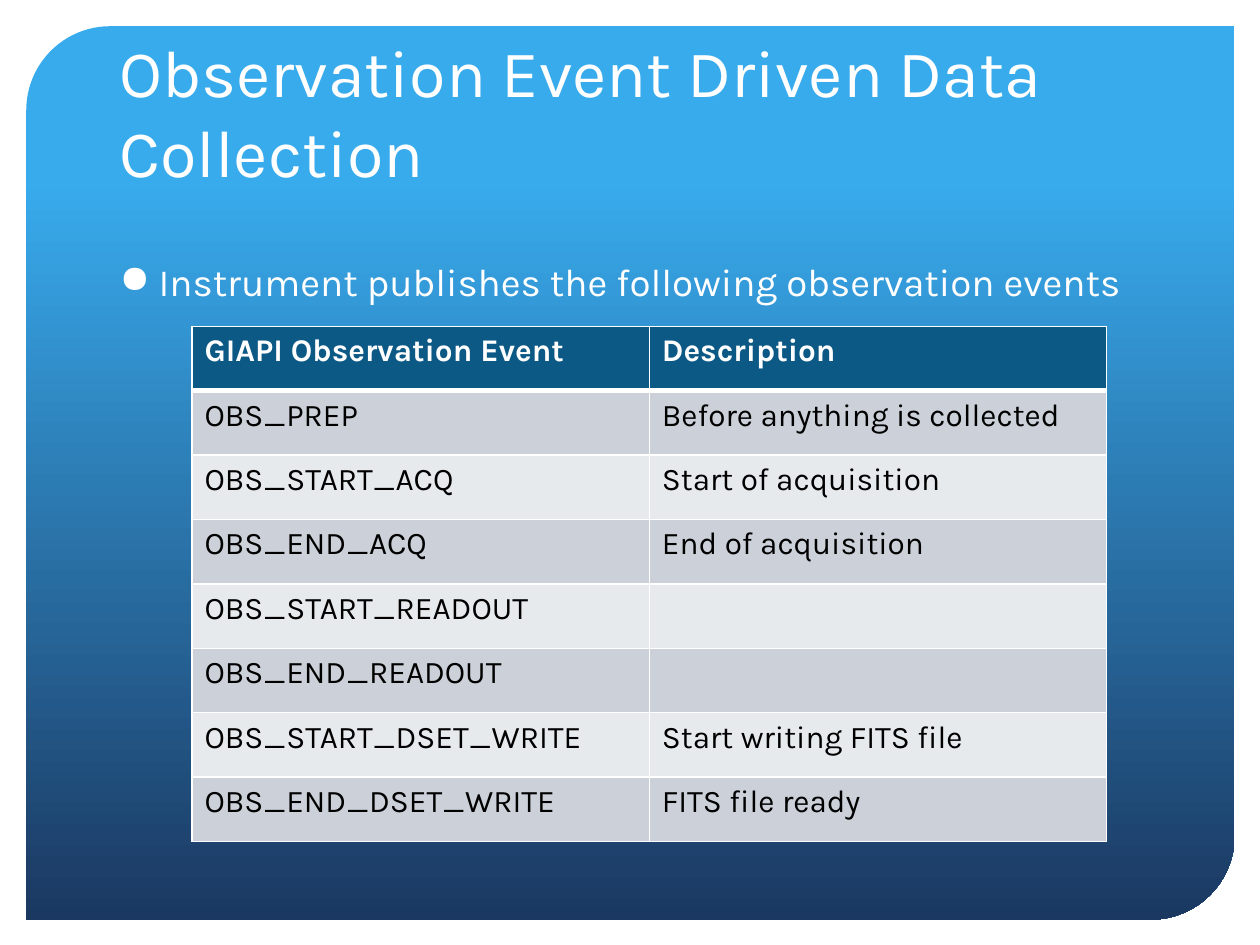
"""Build a slide that lists observation events in a table."""
from lxml.etree import SubElement as Sub
from pptx import Presentation
from pptx.dml.color import RGBColor as RGB
from pptx.enum.shapes import MSO_SHAPE as SHAPE
from pptx.enum.text import MSO_ANCHOR as ANCHOR
from pptx.oxml.ns import qn
from pptx.util import Cm, Pt

FONT = "Karla"
HUES = {"white": "FFFFFF", "black": "000000", "sky": "38ABED", "navy": "1B3861",
        "head": "0C5986", "dark": "CCD1D9", "light": "E7EAED"}
ROWS = [
    ("GIAPI Observation Event", "Description"),
    ("OBS_PREP", "Before anything is collected"),
    ("OBS_START_ACQ", "Start of acquisition"),
    ("OBS_END_ACQ", "End of acquisition"),
    ("OBS_START_READOUT", ""),
    ("OBS_END_READOUT", ""),
    ("OBS_START_DSET_WRITE", "Start writing FITS file"),
    ("OBS_END_DSET_WRITE", "FITS file ready"),
]


def hue(name):
    return RGB.from_string(HUES[name])


def write(frame, text, size=18, color="white", bold=False, bullet=None):
    para = frame.paragraphs[0]
    if bullet:
        props = para._p.get_or_add_pPr()
        props.set("marL", str(Cm(0.79)))
        props.set("indent", str(-Cm(0.79)))
        Sub(props, qn("a:buChar"), char=bullet)
    run = para.add_run()
    run.text = text
    font = run.font
    font.name, font.size, font.bold = FONT, Pt(size), bold
    font.color.rgb = hue(color)


def add_panel(slide):
    panel = slide.shapes.add_shape(SHAPE.ROUND_2_DIAG_RECTANGLE,
                                   Cm(0.53), Cm(0.53), Cm(24.36), Cm(18.01))
    panel.shadow.inherit = False
    panel.adjustments[0], panel.adjustments[1] = 0.094, 0
    panel.line.fill.background()
    panel.fill.gradient()
    panel.fill.gradient_angle = 270
    stops = panel.fill.gradient_stops
    for stop, place, name in zip(stops, (0.17, 1), ("sky", "navy")):
        stop.position = place
        stop.color.rgb = hue(name)


def add_text(slide, text, top, height, anchor=ANCHOR.TOP, **style):
    box = slide.shapes.add_textbox(Cm(2.16), Cm(top), Cm(21.06), Cm(height))
    frame = box.text_frame
    frame.word_wrap = True
    frame.vertical_anchor = anchor
    write(frame, text, **style)


def add_edge(cell, side, width):
    line = Sub(cell._tc.get_or_add_tcPr(), qn(f"a:ln{side}"), w=str(Pt(width)))
    fill = Sub(line, qn("a:solidFill"))
    Sub(fill, qn("a:srgbClr"), val=HUES["white"])


def fill_cell(cell, text, row):
    thick = {0: "B", 1: "T"}.get(row)
    for side in "LRTB":
        add_edge(cell, side, 3 if side == thick else 1)
    cell.fill.solid()
    cell.fill.fore_color.rgb = hue("head" if row == 0 else "dark" if row % 2 else "light")
    if text:
        write(cell.text_frame, text, color="black" if row else "white", bold=row == 0)


def add_grid(slide):
    frame = slide.shapes.add_table(len(ROWS), 2, Cm(3.87), Cm(6.58), Cm(18.44), Cm(10.39))
    for row, texts in enumerate(ROWS):
        for col, text in enumerate(texts):
            fill_cell(frame.table.cell(row, col), text, row)


def main():
    deck = Presentation()
    deck.slide_width, deck.slide_height = Cm(25.4), Cm(19.05)
    slide = deck.slides.add_slide(deck.slide_layouts[6])
    add_panel(slide)
    add_text(slide, "Observation Event Driven Data Collection", 1.07, 2.9,
             anchor=ANCHOR.BOTTOM, size=38)
    add_text(slide, "Instrument publishes the following observation events", 5.08, 11.68,
             size=22, bullet="●")
    add_grid(slide)
    deck.save("out.pptx")


if __name__ == "__main__":
    main()
